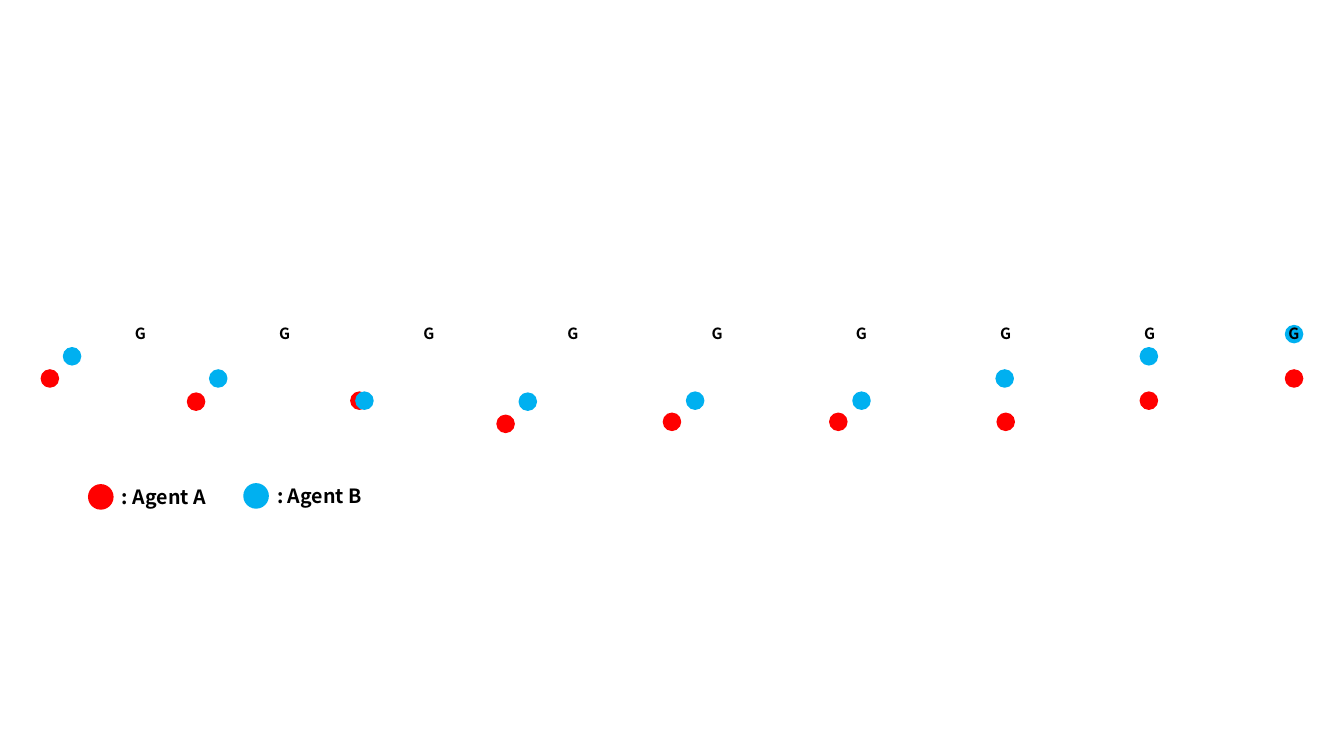
import pptx
import pptx.util
import pptx.dml.color
import pptx.enum.shapes
import pptx.enum.text

Inches = pptx.util.Inches
RED = pptx.dml.color.RGBColor(0xFF, 0x00, 0x00)
BLUE = pptx.dml.color.RGBColor(0x00, 0xB0, 0xF0)
BLACK = pptx.dml.color.RGBColor(0x00, 0x00, 0x00)

DOT = 0.17
LEGEND_DOT = 0.24
GOAL_LEFT, GOAL_TOP, GOAL_PITCH = 1.24, 3.17, 1.43

AGENT_STEPS = [
    ((0.41, 3.67), (0.63, 3.45)),
    ((1.86, 3.9), (2.08, 3.67)),
    ((3.48, 3.89), (3.53, 3.89)),
    ((4.93, 4.12), (5.15, 3.9)),
    ((6.58, 4.1), (6.81, 3.89)),
    ((8.23, 4.1), (8.46, 3.89)),
    ((9.89, 4.1), (9.88, 3.67)),
    ((11.31, 3.89), (11.31, 3.45)),
    ((12.75, 3.67), (12.75, 3.23)),
]
LEGEND = [(": Agent A", RED, 0.88, 4.81), (": Agent B", BLUE, 2.42, 4.8)]


class SlideBuilder:
    """Draws agent dots and bold labels on one slide in a shared style."""

    font = "Noto Sans CJK JP"

    def __init__(self, slide):
        self.slide = slide

    def dot(self, left, top, size, color):
        sp = self.slide.shapes.add_shape(
            pptx.enum.shapes.MSO_SHAPE.OVAL,
            Inches(left), Inches(top), Inches(size), Inches(size))
        sp.shadow.inherit = False
        sp.fill.solid()
        sp.fill.fore_color.rgb = color
        sp.line.color.rgb = color
        sp.line.width = pptx.util.Pt(1)

    def label(self, text, left, top, width, height, size):
        sp = self.slide.shapes.add_textbox(
            Inches(left), Inches(top), Inches(width), Inches(height))
        tf = sp.text_frame
        tf.word_wrap = True
        tf.auto_size = pptx.enum.text.MSO_AUTO_SIZE.SHAPE_TO_FIT_TEXT
        r = tf.paragraphs[0].add_run()
        r.text = text
        r.font.name = self.font
        r.font.size = pptx.util.Pt(size)
        r.font.bold = True
        r.font.color.rgb = BLACK


def main():
    prs = pptx.Presentation()
    prs.slide_width = Inches(13.33)
    prs.slide_height = Inches(7.5)
    s = SlideBuilder(prs.slides.add_slide(prs.slide_layouts[6]))

    for i, (agent_a, agent_b) in enumerate(AGENT_STEPS):
        s.dot(*agent_a, DOT, RED)
        s.dot(*agent_b, DOT, BLUE)
        s.label("G", GOAL_LEFT + i * GOAL_PITCH, GOAL_TOP, 0.3, 0.29, 11)

    for text, color, left, top in LEGEND:
        s.dot(left, top, LEGEND_DOT, color)
        s.label(text, left + 0.23, top - 0.05, 1.21, 0.34, 14)

    prs.save("out.pptx")


if __name__ == "__main__":
    main()
